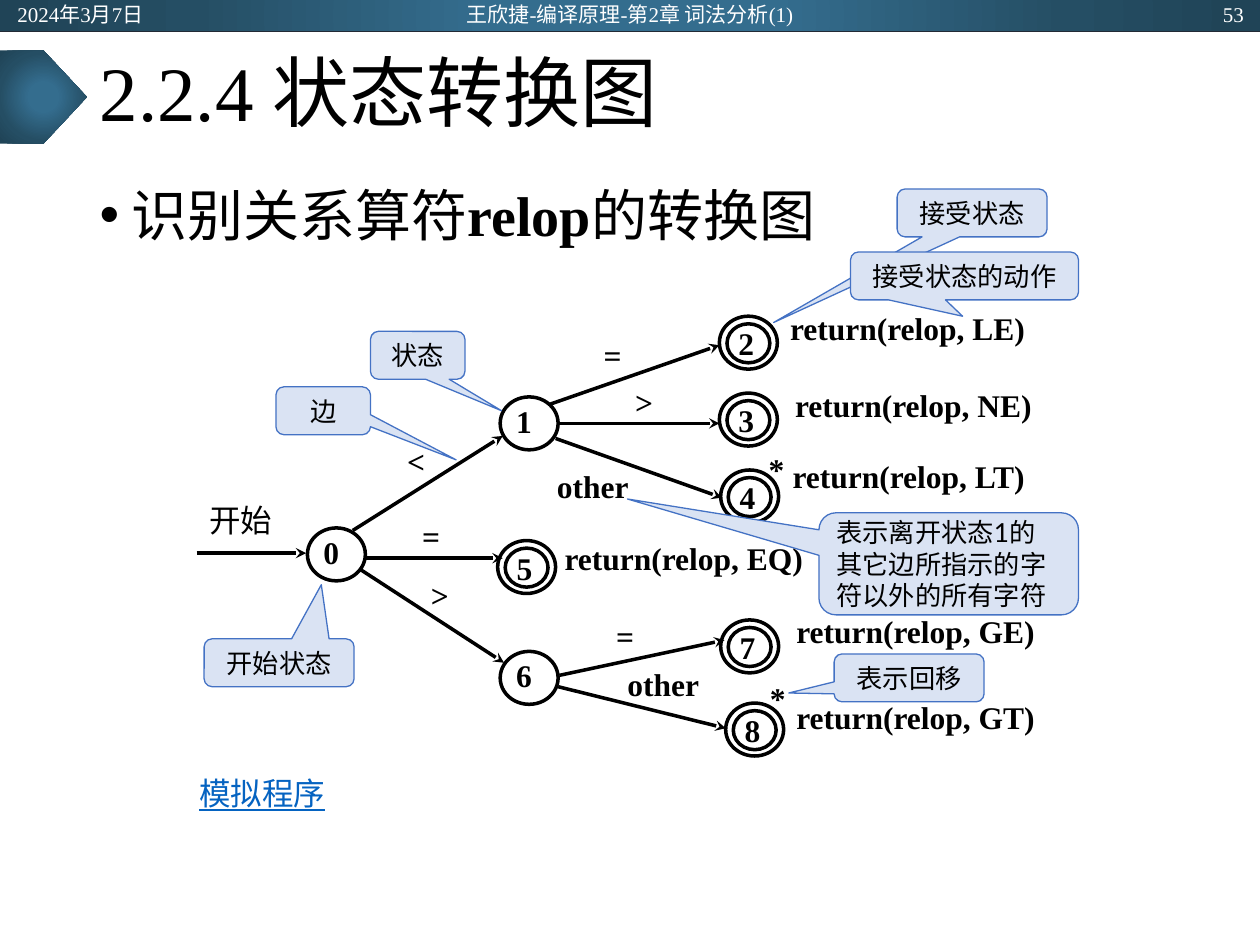
"""Build a slide with the state transition diagram for relop."""
from lxml import etree
from pptx import Presentation
from pptx.dml.color import RGBColor
from pptx.enum.shapes import MSO_CONNECTOR, MSO_SHAPE
from pptx.enum.text import MSO_ANCHOR, MSO_AUTO_SIZE, PP_ALIGN
from pptx.oxml.ns import qn
from pptx.util import Inches, Pt

LINE = MSO_CONNECTOR.STRAIGHT
OVAL, RECT = MSO_SHAPE.OVAL, MSO_SHAPE.RECTANGLE
PLATE, BUBBLE = MSO_SHAPE.PENTAGON, MSO_SHAPE.ROUNDED_RECTANGULAR_CALLOUT
TOP, MIDDLE = MSO_ANCHOR.TOP, MSO_ANCHOR.MIDDLE
LEFT, CENTER, RIGHT, JUST = PP_ALIGN.LEFT, PP_ALIGN.CENTER, PP_ALIGN.RIGHT, PP_ALIGN.JUSTIFY
GROW = MSO_AUTO_SIZE.SHAPE_TO_FIT_TEXT

SERIF, SANS = "Times New Roman", "Lato"
COLORS = {"ink": "000000", "white": "FFFFFF", "rule": "222A35", "link": "0563C1",
          "bubble": "DAE3F3", "edge": "4472C4"}
STOPS = [(0, "346D8E"), (23, "346D8E"), (69, "254E64"), (97, "204457")]

TITLE = "2.2.4 状态转换图"
BODY = [("识别关系算符", False), ("relop", True), ("的转换图", False)]
HEAD = [("2024年3月7日", 0.04, 2.25, LEFT),
        ("王欣捷-编译原理-第2章 词法分析(1)", 3.31, 3.38, CENTER),
        ("53", 7.72, 2.25, RIGHT)]
BANDS = [(RECT, (0, 0, 10, 0.25)), (PLATE, (0, 0.4, 0.69, 0.74))]

OUTER, INNER = (0.46, 0.42), (0.34, 0.31)
STATES = [("0", 2.44, 4.19), ("1", 3.97, 3.15), ("6", 3.97, 5.17)]
FINALS = [("5", 3.95, 4.29), ("2", 5.71, 2.51), ("4", 5.72, 3.73),
          ("8", 5.76, 5.58), ("3", 5.71, 3.12), ("7", 5.72, 4.92)]
EDGES = [(1.56, 4.39, 2.43, 4.39), (2.8, 4.21, 3.99, 3.46), (4.36, 3.21, 5.71, 2.74),
         (4.44, 3.36, 5.71, 3.36), (4.41, 3.48, 5.73, 3.95), (2.9, 4.43, 3.99, 4.43),
         (2.86, 4.52, 4, 5.26), (4.43, 5.45, 5.76, 5.78), (4.44, 5.36, 5.75, 5.08)]
ACTIONS = [("LE", 6.23, 2.45), ("NE", 6.27, 3.06), ("LT", 6.25, 3.63),
           ("GE", 6.28, 4.86), ("GT", 6.28, 5.54), ("EQ", 4.44, 4.28)]
LABELS = [("<", 3.19, 3.51, 0.25), ("=", 4.75, 2.67, 0.31), (">", 5, 3.04, 0.25),
          ("=", 3.31, 4.1, 0.46), (">", 3.38, 4.57, 0.38), ("=", 4.85, 4.9, 0.34),
          ("*", 6.07, 5.39, 0.18), ("*", 6.06, 3.57, 0.18),
          ("other", 4.94, 5.28, 0.83), ("other", 4.38, 3.71, 0.75)]
NOTES = [("状态", (2.94, 2.63, 0.75, 0.38), (3.98, 3.26), CENTER),
         ("边", (2.19, 3.07, 0.75, 0.38), (3.62, 3.65), CENTER),
         ("表示离开状态1的其它边所指示的字符以外的所有字符",
          (6.5, 4.07, 2.06, 0.81), (4.98, 3.96), LEFT),
         ("开始状态", (1.62, 5.07, 1.19, 0.38), (2.55, 4.64), CENTER),
         ("接受状态", (7.12, 1.5, 1.19, 0.38), (6.14, 2.56), CENTER),
         ("接受状态的动作", (6.75, 2, 1.81, 0.38), (7.64, 2.51), CENTER),
         ("表示回移", (6.62, 5.19, 1.19, 0.38), (6.26, 5.5), CENTER)]


def tint(name):
    return RGBColor.from_string(COLORS[name])


def place(box):
    return [Inches(v) for v in box]


def style(para, size, face=SERIF, color="ink", bold=None, align=LEFT):
    para.alignment = align
    para.font.size, para.font.name, para.font.bold = Pt(size), face, bold
    para.font.color.rgb = tint(color)


def write(shape, text, size, pad=(0.1, 0.05, 0.1, 0.05), anchor=MIDDLE, **look):
    frame = shape.text_frame
    frame.word_wrap, frame.vertical_anchor = True, anchor
    (frame.margin_left, frame.margin_top,
     frame.margin_right, frame.margin_bottom) = place(pad)
    frame.text = text
    style(frame.paragraphs[0], size, **look)
    return frame


def label(shapes, text, box, bold=True):
    write(shapes.add_textbox(*place(box)), text, 18, (0.04, 0, 0.04, 0.02), TOP,
          bold=bold, align=JUST)


def draw(shapes, kind, box):
    shape = shapes.add_shape(kind, *place(box))
    shape.shadow.inherit = False
    return shape


def ring(shapes, x, y, size):
    shape = draw(shapes, OVAL, (x, y, *size))
    shape.fill.background()
    shape.line.color.rgb, shape.line.width = tint("ink"), Pt(2)
    return shape


def link(shapes, ends, color, width):
    line = shapes.add_connector(LINE, *place(ends))
    line.line.color.rgb, line.line.width = tint(color), Pt(width)
    etree.SubElement(line._element.spPr, qn("a:effectLst"))
    return line


def glow(shape):
    shape.line.fill.background()
    shape.fill.gradient()
    grad = shape._element.spPr.find(qn("a:gradFill"))
    for child in list(grad):
        grad.remove(child)
    stops = etree.SubElement(grad, qn("a:gsLst"))
    for pos, color in STOPS:
        stop = etree.SubElement(stops, qn("a:gs"), pos=str(pos * 1000))
        etree.SubElement(stop, qn("a:srgbClr"), val=color)
    path = etree.SubElement(grad, qn("a:path"), path="circle")
    etree.SubElement(path, qn("a:fillToRect"), l="50000", t="50000", r="50000", b="50000")


def heads(slide):
    title, body = slide.placeholders
    for holder, box in ((title, (0.69, 0.25, 8.62, 1.04)), (body, (0.69, 1.38, 8.62, 5.38))):
        holder.left, holder.top, holder.width, holder.height = place(box)
    write(title, TITLE, 44).paragraphs[0].line_spacing = 0.9
    frame = write(body, "", 32, anchor=TOP)
    para = frame.paragraphs[0]
    para.space_before = Pt(10)
    props = para._p.get_or_add_pPr()
    props.set("marL", str(Inches(0.25)))
    props.set("indent", str(Inches(-0.25)))
    for text, bold in BODY:
        run = para.add_run()
        run.text, run.font.bold = text, bold


def graph(shapes):
    for name, x, y in STATES:
        write(ring(shapes, x, y, OUTER), name, 18, (0.06, 0, 0.07, 0.04), bold=True, align=JUST)
    for name, x, y in FINALS:
        ring(shapes, x, y, OUTER)
        core = ring(shapes, x + 0.06, y + 0.06, INNER)
        write(core, name, 18, (0.04, 0, 0.05, 0), bold=True, align=JUST)
    for ends in EDGES:
        line = link(shapes, ends, "ink", 2)
        etree.SubElement(line.line._get_or_add_ln(), qn("a:tailEnd"), type="stealth")
    for name, x, y in ACTIONS:
        label(shapes, f"return(relop, {name})", (x, y, 2.15, 0.39))
    label(shapes, "开始", (1.62, 3.98, 0.75, 0.36), bold=False)
    for text, x, y, wide in LABELS:
        label(shapes, text, (x, y, wide, 0.26))


def note(shapes, text, box, tip, align):
    shape = draw(shapes, BUBBLE, box)
    x, y, wide, high = box
    shape.adjustments[0] = (tip[0] - x) / wide - 0.5
    shape.adjustments[1] = (tip[1] - y) / high - 0.5
    shape.fill.solid()
    shape.fill.fore_color.rgb = tint("bubble")
    shape.line.color.rgb, shape.line.width = tint("edge"), Pt(0.75)
    write(shape, text, 15, face=SANS, align=align)


def main():
    deck = Presentation()
    deck.slide_width, deck.slide_height = Inches(10), Inches(7.5)
    slide = deck.slides.add_slide(deck.slide_layouts[1])
    shapes = slide.shapes
    heads(slide)
    for kind, box in BANDS:
        glow(draw(shapes, kind, box))
    link(shapes, (0, 0.25, 10, 0.25), "rule", 0.5)
    graph(shapes.add_group_shape().shapes)
    for item in NOTES:
        note(shapes, *item)
    more = write(shapes.add_textbox(*place((1.54, 6.12, 1.1, 0.35))), "模拟程序", 18,
                 (0.04, 0.02, 0.04, 0.02), TOP, color="link", align=JUST)
    more.word_wrap, more.auto_size = False, GROW
    more.paragraphs[0].font.underline = True
    for text, x, wide, align in HEAD:
        write(shapes.add_textbox(*place((x, 0.01, wide, 0.2))), text, 12,
              color="white", align=align)
    deck.save("out.pptx")


if __name__ == "__main__":
    main()
